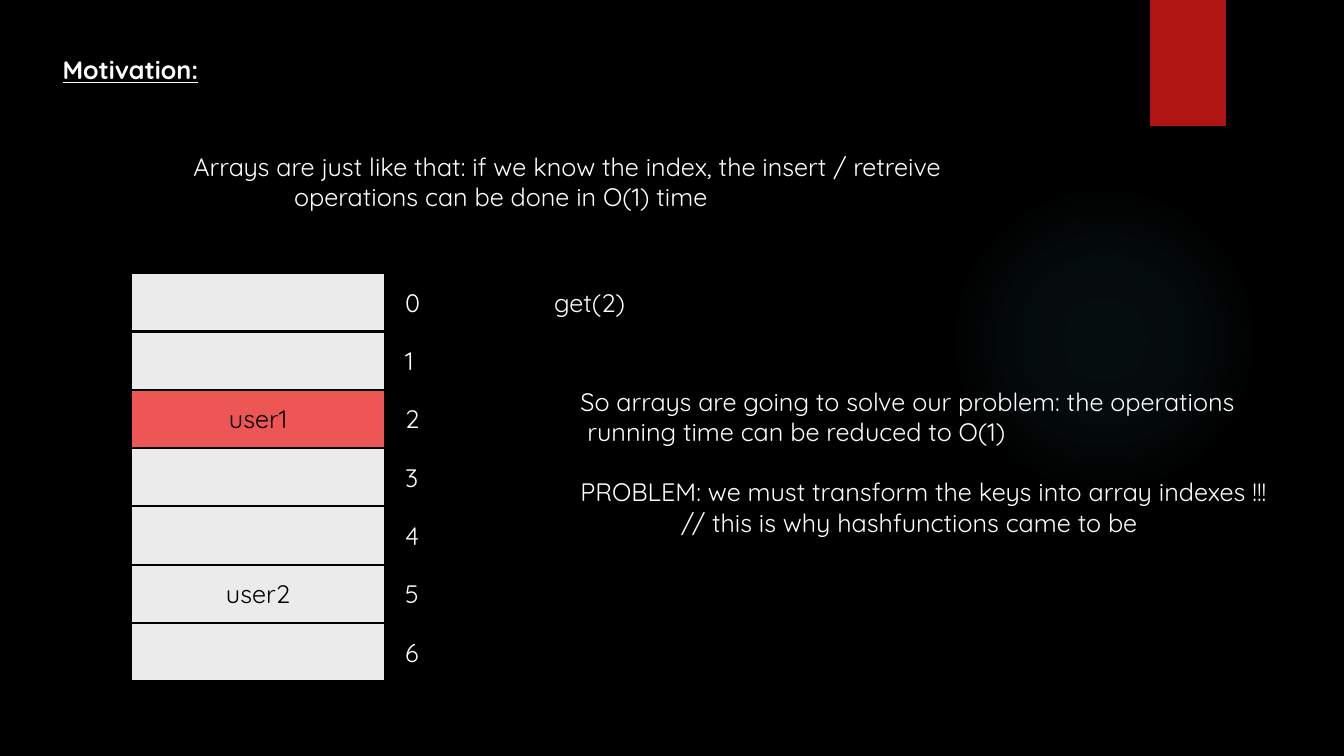
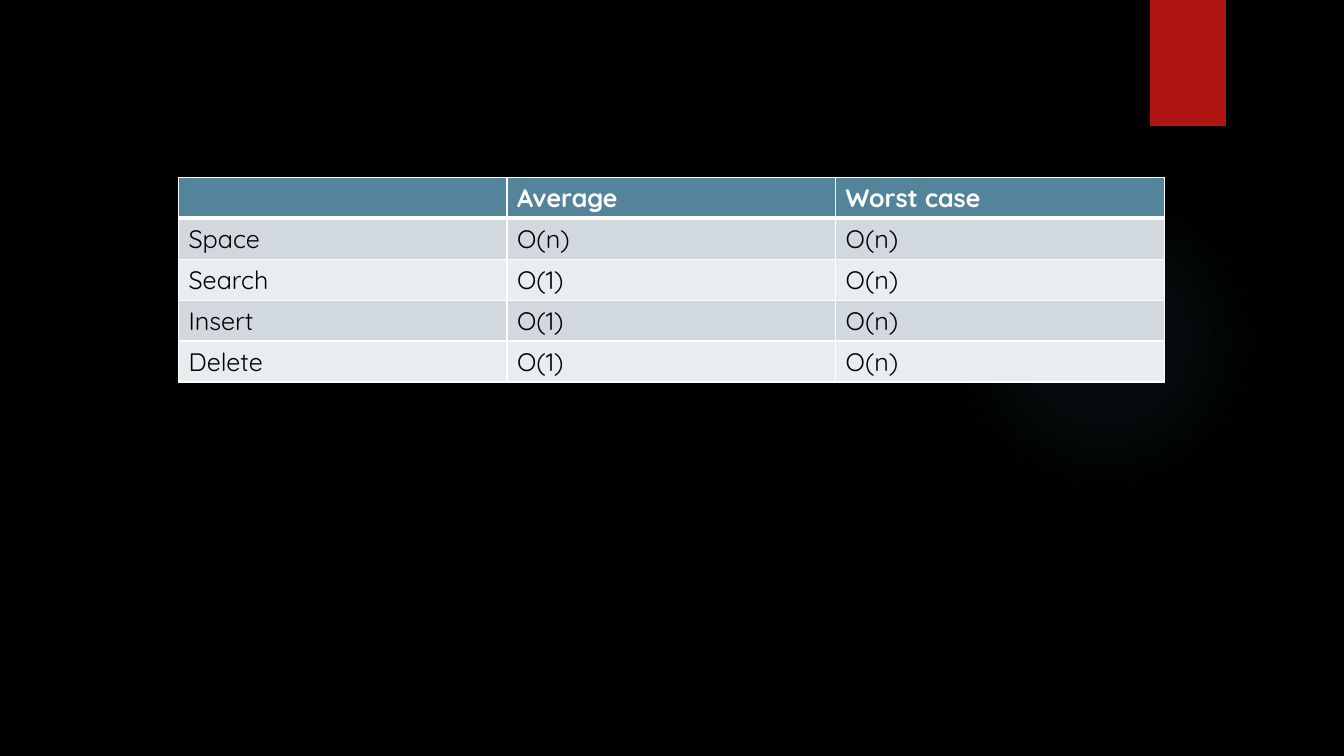
from lxml import etree
from pptx import Presentation
from pptx import util as u
from pptx.dml.color import RGBColor
from pptx.enum import shapes, text
from pptx.oxml import ns

WIDE, HIGH = u.Inches(13.333), u.Inches(7.5)
FONT, SIZE = "Quicksand", u.Pt(18)
BLACK = RGBColor(0, 0, 0)
WHITE = RGBColor(0xFF, 0xFF, 0xFF)
RED = RGBColor(0xB0, 0x15, 0x13)
CORAL = RGBColor(0xED, 0x56, 0x54)
PALE = RGBColor(0xEB, 0xEB, 0xEB)
TEAL = RGBColor(0x50, 0xB9, 0xC1)
HEAD = RGBColor(0x54, 0x84, 0x9A)
BANDS = RGBColor(0xD1, 0xD9, 0xDE), RGBColor(0xE9, 0xED, 0xEF)
GLOW = (0, 7), (36, 6), (69, 0)  # stop and opacity, in percent

SLOTS = ["", "", "user1", "", "", "user2", ""]
HIT = 2
INTRO = [
    ("Arrays are just like that: if we know the index, the insert / retreive", 0, 0),
    ("operations can be done in O(1) time", 1, 0),
]
NOTES = [  # text, indent in inches, space before in points
    ("So arrays are going to solve our problem: the operations", 0, 0),
    ("running time can be reduced to O(1)", 0.07, 0),
    ("PROBLEM: we must transform the keys into array indexes !!!", 0, 21.6),
    ("// this is why hashfunctions came to be", 1, 0),
]
COSTS = [
    ("", "Average", "Worst case"),
    ("Space", "O(n)", "O(n)"),
    ("Search", "O(1)", "O(n)"),
    ("Insert", "O(1)", "O(n)"),
    ("Delete", "O(1)", "O(n)"),
]


def area(left, top, wide, high):
    """Turn percent of the slide's size into lengths."""
    return [int(part * full / 100) for part, full in
            zip((left, top, wide, high), (WIDE, HIGH, WIDE, HIGH))]


def style(par, color, bold=False, line=False):
    """Give a paragraph and its runs the deck's font."""
    for item in (par, *par.runs):
        font = item.font
        font.name, font.size = FONT, SIZE
        font.bold, font.underline = bold, line
        font.color.rgb = color


def write(slide, lines, box, anchor=text.MSO_ANCHOR.TOP):
    """Add a text box of (text, indent, space before) lines."""
    frame = slide.shapes.add_textbox(*area(*box)).text_frame
    frame.word_wrap = True
    frame.vertical_anchor = anchor
    frame.text = "\n".join(line[0] for line in lines)
    for par, (_, indent, gap) in zip(frame.paragraphs, lines):
        style(par, WHITE)
        par.space_before = u.Pt(gap)
        par._p.get_or_add_pPr().set("marL", str(u.Inches(indent)))


def shape(slide, kind, box, fill):
    """Add a plain filled shape."""
    item = slide.shapes.add_shape(kind, *area(*box))
    item.shadow.inherit = False
    item.fill.solid()
    item.fill.fore_color.rgb = fill
    item.line.fill.background()
    return item


def fade(item):
    """Swap a shape's fill for the round glow."""
    stops = "".join(
        f'<a:gs pos="{pos * 1000}"><a:srgbClr val="{TEAL}">'
        f'<a:alpha val="{alpha * 1000}"/></a:srgbClr></a:gs>'
        for pos, alpha in GLOW)
    grad = etree.fromstring(
        f'<a:gradFill {ns.nsdecls("a")}><a:gsLst>{stops}</a:gsLst>'
        '<a:path path="circle"><a:fillToRect l="50000" t="50000" '
        'r="50000" b="50000"/></a:path></a:gradFill>')
    props = item.element.spPr
    props.replace(props.find(ns.qn("a:solidFill")), grad)


def theme(deck, slide):
    """Put the background, glow and ribbon on the master."""
    master = deck.slide_master
    master.background.fill.solid()
    master.background.fill.fore_color.rgb = BLACK
    glow = shape(slide, shapes.MSO_SHAPE.OVAL, (70.58, 24.4, 23.1, 41.07), TEAL)
    fade(glow)
    ribbon = shape(slide, shapes.MSO_SHAPE.RECTANGLE, (85.58, 0, 5.63, 16.67), RED)
    for spot, item in enumerate((glow, ribbon), 2):
        master.shapes.element.insert(spot, item.element)


def title(slide, words):
    """Fill and place the title."""
    item = slide.shapes.title
    item.left, item.top, item.width, item.height = area(3.9, 6.53, 22, 5.33)
    frame = item.text_frame
    frame.text = words
    frame.vertical_anchor = text.MSO_ANCHOR.TOP
    par = frame.paragraphs[0]
    par.alignment = text.PP_ALIGN.LEFT
    style(par, WHITE, bold=True, line=True)


def stack(slide, left, top, wide, step):
    """Draw the array's slots with an index beside each."""
    for index, name in enumerate(SLOTS):
        row = top + index * step
        slot = shape(slide, shapes.MSO_SHAPE.RECTANGLE, (left, row, wide, step),
                     CORAL if index == HIT else PALE)
        slot.line.color.rgb = BLACK
        slot.line.width = u.Pt(1.5)
        if name:
            slot.text_frame.text = name
            par = slot.text_frame.paragraphs[0]
            par.alignment = text.PP_ALIGN.CENTER
            style(par, BLACK)
        write(slide, [(str(index), 0, 0)], (left + wide + 0.75, row, 5, step),
              text.MSO_ANCHOR.MIDDLE)
    write(slide, [("get(2)", 0, 0)], (40.5, top, 12, step), text.MSO_ANCHOR.MIDDLE)


def edge(cell, top, base):
    """Give a cell white borders; top and base are in points."""
    props = cell._tc.get_or_add_tcPr()
    sides = ("L", 1), ("R", 1), ("T", top), ("B", base)
    for spot, (side, width) in enumerate(sides):
        props.insert(spot, etree.fromstring(
            f'<a:ln{side} {ns.nsdecls("a")} w="{u.Pt(width)}"><a:solidFill>'
            f'<a:srgbClr val="{WHITE}"/></a:solidFill></a:ln{side}>'))


def table(slide, rows, box):
    """Add a banded table with a header row."""
    grid = slide.shapes.add_table(len(rows), len(rows[0]), *area(*box)).table
    for r, row in enumerate(rows):
        for c, words in enumerate(row):
            cell = grid.cell(r, c)
            cell.text = words
            cell.fill.solid()
            cell.fill.fore_color.rgb = BANDS[(r - 1) % 2] if r else HEAD
            style(cell.text_frame.paragraphs[0], BLACK if r else WHITE, bold=not r)
            edge(cell, 3 if r == 1 else 1, 1 if r else 3)


def main():
    """Build and save both slides."""
    deck = Presentation()
    deck.slide_width, deck.slide_height = WIDE, HIGH
    first = deck.slides.add_slide(deck.slide_layouts[5])
    theme(deck, first)
    title(first, "Motivation:")
    write(first, INTRO, (13.65, 19.33, 60, 9.5))
    stack(first, 9.75, 36.13, 18.9, 7.71)
    write(first, NOTES, (42.45, 50.4, 54.68, 21.6))

    second = deck.slides.add_slide(deck.slide_layouts[6])
    table(second, COSTS, (13.28, 23.47, 73.35, 27.07))
    deck.save("out.pptx")


main()
